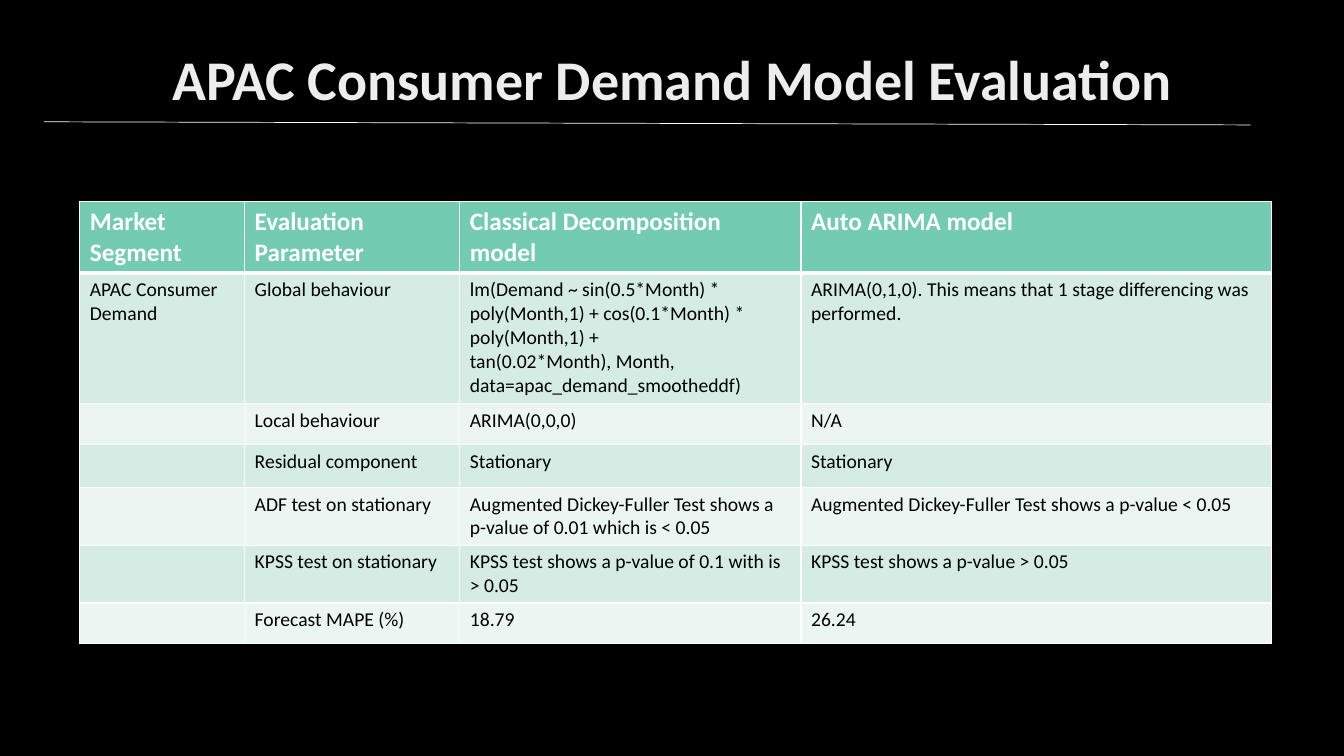
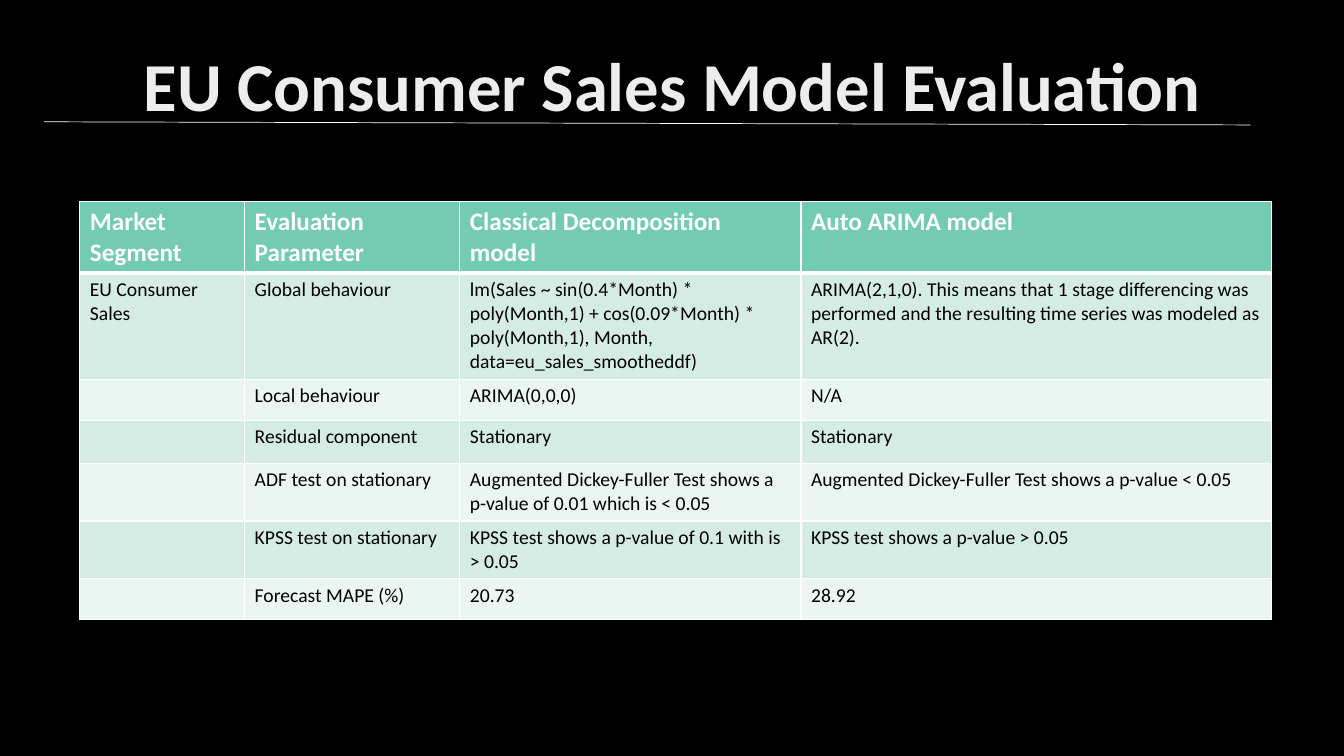
from lxml import etree
from pptx import Presentation
from pptx import util as u
from pptx.dml.color import RGBColor
from pptx.enum import shapes, text
from pptx.oxml.ns import qn

FONT = "Calibri"
BLACK, WHITE, TITLE_GRAY = "000000", "FFFFFF", "EDEDED"
HEADER_GREEN, BAND_DARK, BAND_LIGHT = "73CBB2", "D5ECE4", "EBF6F2"

TABLE_LEFT, TABLE_TOP = 76, 192
COL_WIDTHS = [157, 205, 325, 448]
HEADER_HEIGHT = 68
TEST_HEIGHTS = [39, 41, 55, 55, 39]

HEADERS = ["Market Segment", "Evaluation Parameter",
           "Classical Decomposition model", "Auto ARIMA model"]
TESTS = [
    ["", "Local behaviour", "ARIMA(0,0,0)", "N/A"],
    ["", "Residual component", "Stationary", "Stationary"],
    ["", "ADF test on stationary",
     "Augmented Dickey-Fuller Test shows a p-value of 0.01 which is < 0.05",
     "Augmented Dickey-Fuller Test shows a p-value < 0.05"],
    ["", "KPSS test on stationary",
     "KPSS test shows a p-value of 0.1 with is > 0.05",
     "KPSS test shows a p-value > 0.05"],
]
EVALUATIONS = [
    dict(segment="APAC Consumer Demand", title_size=40, global_height=124,
         decomposition="lm(Demand ~ sin(0.5*Month) * poly(Month,1) + "
                       "cos(0.1*Month) * poly(Month,1) +\n"
                       "tan(0.02*Month), Month, data=apac_demand_smootheddf)",
         arima="ARIMA(0,1,0). This means that 1 stage differencing was "
               "performed.",
         mape=["18.79", "26.24"]),
    dict(segment="EU Consumer Sales", title_size=49, global_height=101,
         decomposition="lm(Sales ~ sin(0.4*Month) * poly(Month,1) + "
                       "cos(0.09*Month) * poly(Month,1), Month, "
                       "data=eu_sales_smootheddf)",
         arima="ARIMA(2,1,0). This means that 1 stage differencing was "
               "performed and the resulting time series was modeled as AR(2).",
         mape=["20.73", "28.92"]),
]


def px(n):
    return u.Emu(n * 9525)


def color(hex_string):
    return RGBColor.from_string(hex_string)


def write(tf, content, size, fill, bold=False, align=text.PP_ALIGN.LEFT,
          spacing=1.0):
    tf.text = content
    for p in tf.paragraphs:
        p.alignment = align
        p.line_spacing = spacing
        for r in p.runs:
            r.font.name = FONT
            r.font.size = u.Pt(size)
            r.font.bold = bold
            r.font.color.rgb = color(fill)


def add_title(slide, content, size):
    sp = slide.shapes.title
    sp.left, sp.top, sp.width, sp.height = px(88), px(38), px(1104), px(139)
    tf = sp.text_frame
    tf.word_wrap = True
    tf.auto_size = text.MSO_AUTO_SIZE.NONE
    tf.vertical_anchor = text.MSO_ANCHOR.TOP
    tf.margin_top = px(12)
    write(tf, content, size, TITLE_GRAY, bold=True,
          align=text.PP_ALIGN.CENTER, spacing=0.9)


def add_rule(slide):
    line = slide.shapes.add_connector(shapes.MSO_CONNECTOR.STRAIGHT,
                                      px(42), px(116), px(1191), px(119))
    line.line.color.rgb = color(WHITE)
    line.line.width = u.Pt(0.5)
    etree.SubElement(line._element.spPr, qn("a:effectLst"))


def set_borders(cell, top=1, bottom=1):
    """Draw white borders; widths are in points."""
    tc_pr = cell._tc.get_or_add_tcPr()
    for side, width in (("L", 1), ("R", 1), ("T", top), ("B", bottom)):
        ln = etree.SubElement(tc_pr, qn(f"a:ln{side}"), w=str(u.Pt(width)))
        solid = etree.SubElement(ln, qn("a:solidFill"))
        etree.SubElement(solid, qn("a:srgbClr"), val=WHITE)


def add_table(slide, rows, heights):
    frame = slide.shapes.add_table(len(rows), len(COL_WIDTHS),
                                   px(TABLE_LEFT), px(TABLE_TOP),
                                   px(sum(COL_WIDTHS)), px(sum(heights)))
    table = frame.table
    for column, width in zip(table.columns, COL_WIDTHS):
        column.width = px(width)
    for i, (row, height) in enumerate(zip(rows, heights)):
        table.rows[i].height = px(height)
        header = i == 0
        band = BAND_DARK if i % 2 else BAND_LIGHT
        for j, content in enumerate(row):
            cell = table.cell(i, j)
            set_borders(cell, top=3 if i == 1 else 1, bottom=3 if header else 1)
            cell.fill.solid()
            cell.fill.fore_color.rgb = color(HEADER_GREEN if header else band)
            write(cell.text_frame, content, 18 if header else 14,
                  WHITE if header else BLACK, bold=header)


def add_evaluation(prs, segment, title_size, global_height, decomposition,
                   arima, mape):
    slide = prs.slides.add_slide(prs.slide_layouts.get_by_name("Title Only"))
    add_title(slide, f"{segment} Model Evaluation", title_size)
    rows = [HEADERS,
            [segment, "Global behaviour", decomposition, arima],
            *TESTS,
            ["", "Forecast MAPE (%)", *mape]]
    add_table(slide, rows, [HEADER_HEIGHT, global_height, *TEST_HEIGHTS])
    add_rule(slide)


def main():
    prs = Presentation()
    prs.slide_width, prs.slide_height = px(1280), px(720)
    background = prs.slide_master.background.fill
    background.solid()
    background.fore_color.rgb = color(BLACK)
    for evaluation in EVALUATIONS:
        add_evaluation(prs, **evaluation)
    prs.save("out.pptx")


if __name__ == "__main__":
    main()
